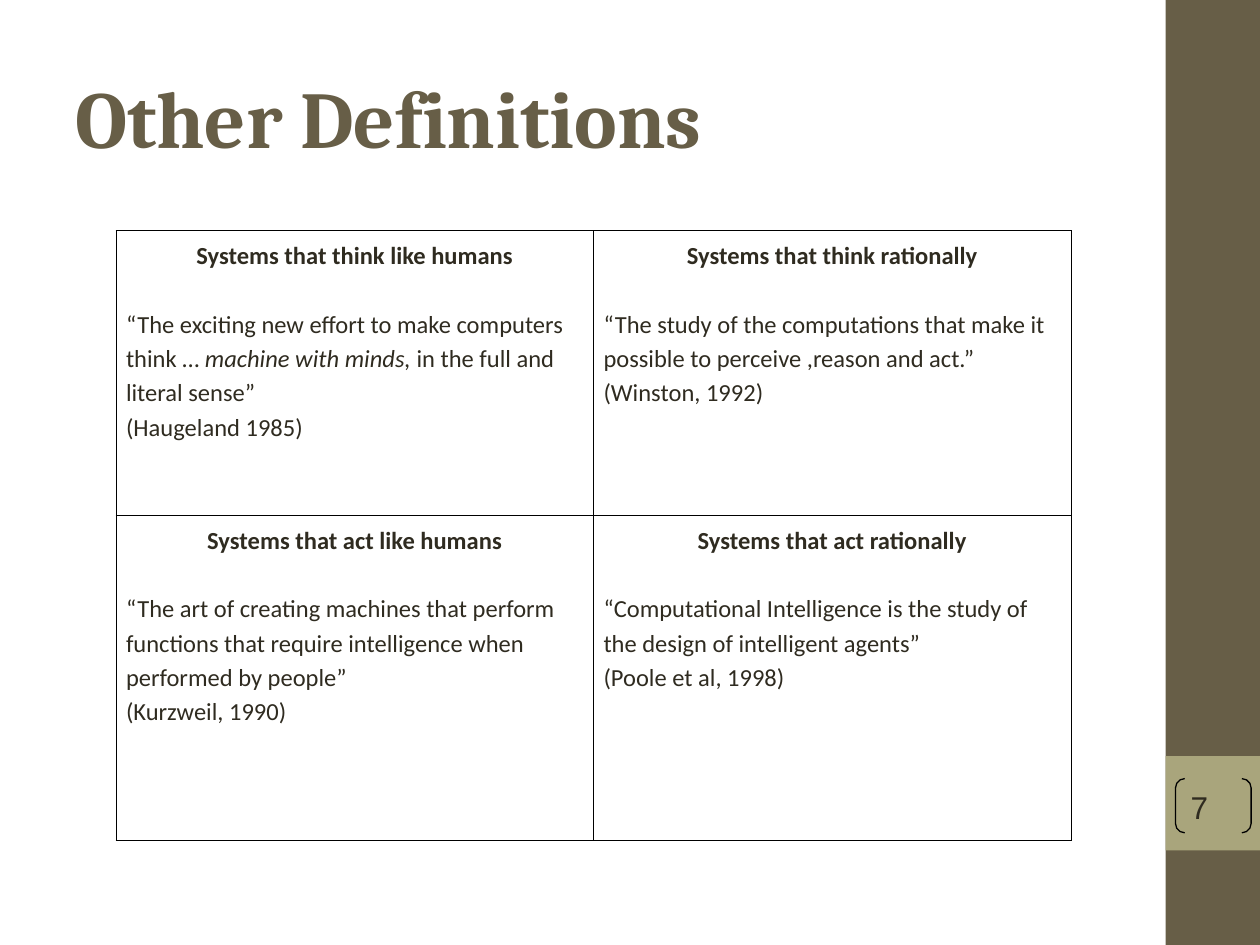
from dataclasses import dataclass

from lxml.etree import SubElement
from pptx import Presentation
from pptx.dml.color import RGBColor
from pptx.enum.shapes import MSO_SHAPE
from pptx.enum.text import MSO_ANCHOR, PP_ALIGN
from pptx.oxml.ns import qn
from pptx.util import Inches, Pt

BROWN = RGBColor(0x67, 0x5E, 0x47)
OLIVE = RGBColor(0xA9, 0xA5, 0x7C)
INK = RGBColor(0x2F, 0x2B, 0x20)
BLACK = RGBColor(0, 0, 0)
BORDER_WIDTH = Pt(0.45)


@dataclass
class Definition:
    heading: str
    quote: tuple[str, ...]  # every second part is italic
    citation: str


DEFINITIONS = [
    [
        Definition(
            "Systems that think like humans",
            ("“The exciting new effort to make computers think … ",
             "machine with minds,", " in the full and literal sense”"),
            "(Haugeland 1985)",
        ),
        Definition(
            "Systems that think rationally",
            ("“The study of the computations that make it possible to "
             "perceive ,reason and act.”",),
            "(Winston, 1992)",
        ),
    ],
    [
        Definition(
            "Systems that act like humans",
            ("“The art of creating machines that perform functions that "
             "require intelligence when performed by people”",),
            "(Kurzweil, 1990)",
        ),
        Definition(
            "Systems that act rationally",
            ("“Computational Intelligence is the study of the design of "
             "intelligent agents”",),
            "(Poole et al, 1998)",
        ),
    ],
]


def style(r, name: str, size: float, color: RGBColor, bold=False, italic=False) -> None:
    r.font.name = name
    r.font.size = Pt(size)
    r.font.color.rgb = color
    r.font.bold = bold
    r.font.italic = italic


def add_block(s, top: float, height: float, color: RGBColor) -> None:
    """Add a filled rectangle in the right-hand sidebar."""
    sp = s.shapes.add_shape(MSO_SHAPE.RECTANGLE, Inches(9.25), Inches(top),
                            Inches(0.75), Inches(height))
    sp.shadow.inherit = False
    sp.fill.solid()
    sp.fill.fore_color.rgb = color
    sp.line.fill.background()


def add_title(s, text: str) -> None:
    sp = s.shapes.add_textbox(Inches(0.5), Inches(0.3), Inches(8.33), Inches(1.25))
    tf = sp.text_frame
    tf.word_wrap = True
    tf.vertical_anchor = MSO_ANCHOR.MIDDLE
    tf.text = text
    style(tf.paragraphs[0].runs[0], "Cambria", 46, BROWN, bold=True)


def add_page_number(s, number: int) -> None:
    sp = s.shapes.add_shape(MSO_SHAPE.DOUBLE_BRACKET, Inches(9.33), Inches(6.18),
                            Inches(0.6), Inches(0.43))
    sp.adjustments[0] = 0.17
    sp.shadow.inherit = False
    sp.fill.background()
    sp.line.color.rgb = BLACK
    sp.line.width = Pt(0.75)
    tf = sp.text_frame
    tf.vertical_anchor = MSO_ANCHOR.TOP
    tf.text = str(number)
    p = tf.paragraphs[0]
    p.alignment = PP_ALIGN.LEFT
    style(p.runs[0], "Arial", 18, INK)


def set_borders(cell) -> None:
    tc_pr = cell._tc.get_or_add_tcPr()
    for i, side in enumerate(("lnL", "lnR", "lnT", "lnB")):
        ln = tc_pr.makeelement(qn(f"a:{side}"), {"w": str(int(BORDER_WIDTH))})
        tc_pr.insert(i, ln)
        fill = SubElement(ln, qn("a:solidFill"))
        SubElement(fill, qn("a:srgbClr"), val=str(BLACK))


def fill_cell(cell, definition: Definition) -> None:
    cell.fill.background()
    set_borders(cell)
    cell.margin_left = cell.margin_right = Inches(0.08)
    cell.margin_top = cell.margin_bottom = Inches(0.05)
    tf = cell.text_frame
    heading = tf.paragraphs[0]
    heading.alignment = PP_ALIGN.CENTER
    heading.space_after = Pt(19.6)
    paragraphs = [(definition.heading,), definition.quote, (definition.citation,)]
    for i, parts in enumerate(paragraphs):
        p = tf.add_paragraph() if i else heading
        p.line_spacing = 1.15
        for j, part in enumerate(parts):
            r = p.add_run()
            r.text = part
            style(r, "Calibri", 14, INK, bold=i == 0, italic=j % 2 == 1)


def add_definitions(s) -> None:
    frame = s.shapes.add_table(2, 2, Inches(0.92), Inches(1.83),
                               Inches(7.58), Inches(4.84))
    table = frame.table
    table.first_row = table.horz_banding = False
    for row, height in zip(table.rows, (2.26, 2.58)):
        row.height = Inches(height)
    for i, row in enumerate(DEFINITIONS):
        for j, definition in enumerate(row):
            fill_cell(table.cell(i, j), definition)


def main() -> None:
    prs = Presentation()
    prs.slide_width, prs.slide_height = Inches(10), Inches(7.5)
    s = prs.slides.add_slide(prs.slide_layouts[6])
    add_block(s, 0, 7.5, BROWN)
    add_block(s, 6, 0.75, OLIVE)
    add_title(s, "Other Definitions")
    add_page_number(s, 7)
    add_definitions(s)
    prs.save("out.pptx")


if __name__ == "__main__":
    main()
